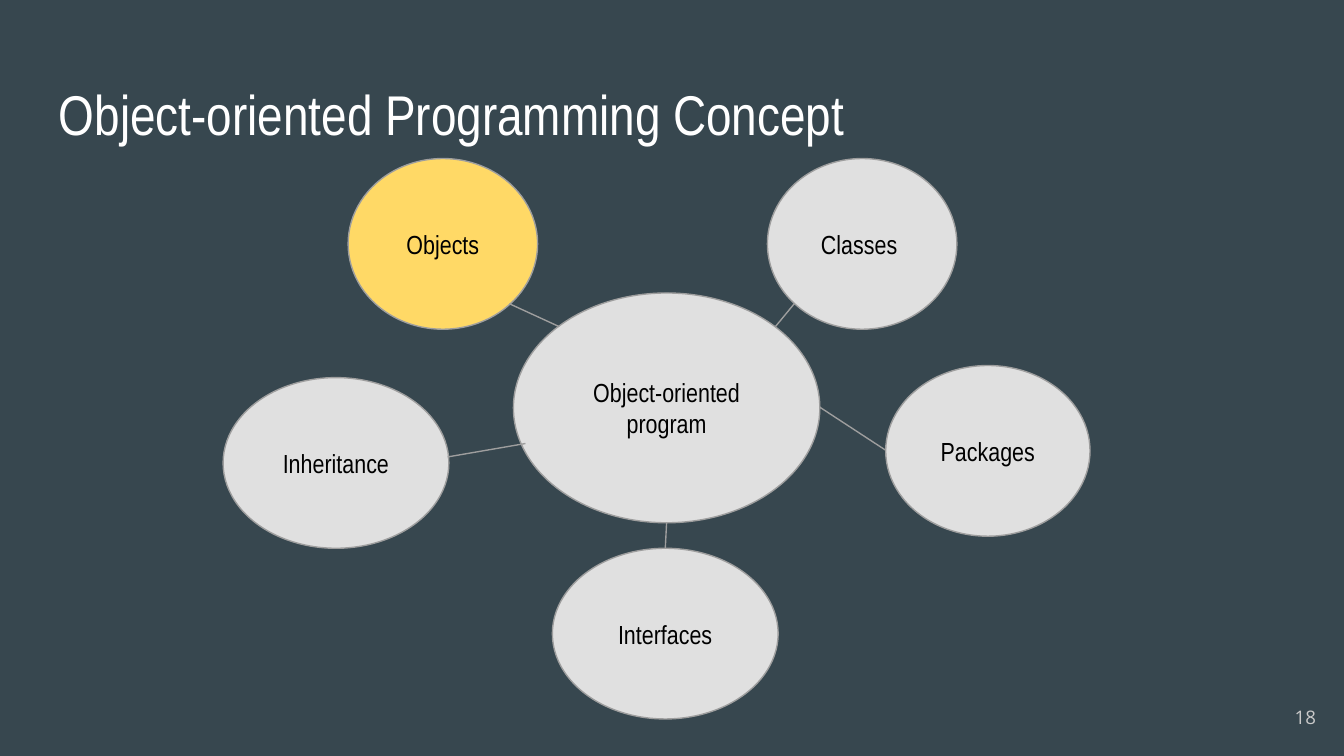
from lxml import etree
from pptx import Presentation
from pptx.dml.color import RGBColor
from pptx.enum.shapes import MSO_CONNECTOR, MSO_SHAPE
from pptx.enum.text import MSO_ANCHOR, PP_ALIGN
from pptx.oxml.ns import qn
from pptx.util import Inches, Pt

CIRCLE = MSO_SHAPE.FLOWCHART_CONNECTOR
STRAIGHT = MSO_CONNECTOR.STRAIGHT
TOP, MIDDLE = MSO_ANCHOR.TOP, MSO_ANCHOR.MIDDLE
LEFT, CENTER, RIGHT = PP_ALIGN.LEFT, PP_ALIGN.CENTER, PP_ALIGN.RIGHT

COLORS = {
    "background": "37474F",
    "title": "FFFFFF",
    "bubble": "E0E0E0",
    "highlight": "FFD966",
    "outline": "9E9E9E",
    "label": "000000",
    "number": "CACACA",
}


def paint(color_format, name):
    """Set a fill, line or font colour from the palette."""
    color_format.rgb = RGBColor.from_string(COLORS[name])


def write_text(shape, text, size, color, alignment, anchor, font="Arial Narrow"):
    frame = shape.text_frame
    frame.word_wrap = True
    frame.vertical_anchor = anchor
    frame.margin_left = frame.margin_right = Inches(0.1)
    frame.margin_top = frame.margin_bottom = Inches(0.1)
    paragraph = frame.paragraphs[0]
    paragraph.alignment = alignment
    run = paragraph.add_run()
    run.text = text
    run.font.size = Pt(size)
    run.font.name = font
    paint(run.font.color, color)


presentation = Presentation()
presentation.slide_width = Inches(10)
presentation.slide_height = Inches(10 * 9 / 16)
slide = presentation.slides.add_slide(presentation.slide_layouts[6])
slide.background.fill.solid()
paint(slide.background.fill.fore_color, "background")

title = slide.shapes.add_textbox(
    Inches(0.34), Inches(0.49), Inches(9.32), Inches(0.63))
write_text(title, "Object-oriented Programming Concept", 30, "title", LEFT, TOP)

# The hub comes first, then the concepts around it
bubbles = [
    ("Object-oriented program", 3.82, 2.18, 2.28, 1.71, "bubble"),
    ("Objects", 2.59, 1.18, 1.41, 1.27, "highlight"),
    ("Inheritance", 1.66, 2.81, 1.68, 1.27, "bubble"),
    ("Classes ", 5.71, 1.18, 1.41, 1.27, "bubble"),
    ("Packages", 6.59, 2.72, 1.52, 1.27, "bubble"),
    ("Interfaces", 4.11, 4.08, 1.68, 1.27, "bubble"),
]
for text, left, top, width, height, fill in bubbles:
    bubble = slide.shapes.add_shape(
        CIRCLE, Inches(left), Inches(top), Inches(width), Inches(height))
    bubble.shadow.inherit = False
    bubble.fill.solid()
    paint(bubble.fill.fore_color, fill)
    paint(bubble.line.color, "outline")
    bubble.line.width = Pt(0.75)
    write_text(bubble, text, 14, "label", CENTER, MIDDLE)

# Each link runs from a concept to the hub
links = [
    (3.79, 2.26, 4.16, 2.43),
    (3.33, 3.4, 3.91, 3.3),
    (4.95, 4.08, 4.96, 3.89),
    (5.91, 2.26, 5.77, 2.43),
    (6.59, 3.35, 6.1, 3.03),
]
for link in links:
    connector = slide.shapes.add_connector(STRAIGHT, *map(Inches, link))
    paint(connector.line.color, "outline")
    connector.line.width = Pt(0.75)
    etree.SubElement(connector._element.spPr, qn("a:effectLst"))

slide_number = slide.shapes.add_textbox(
    Inches(9.29), Inches(5.12), Inches(0.6), Inches(0.43))
write_text(slide_number, "18", 10, "number", RIGHT, MIDDLE, "Open Sans")

presentation.save("out.pptx")
